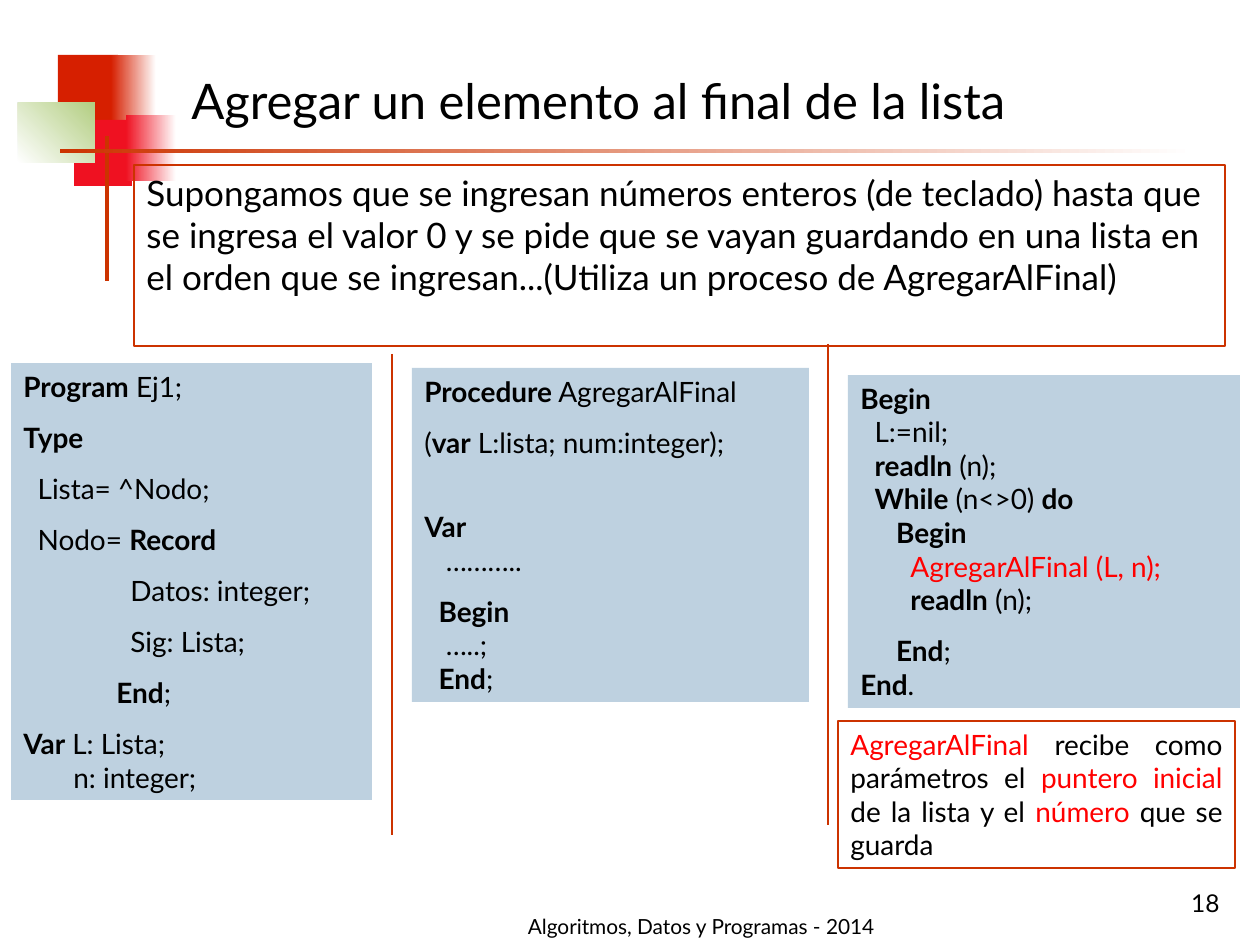
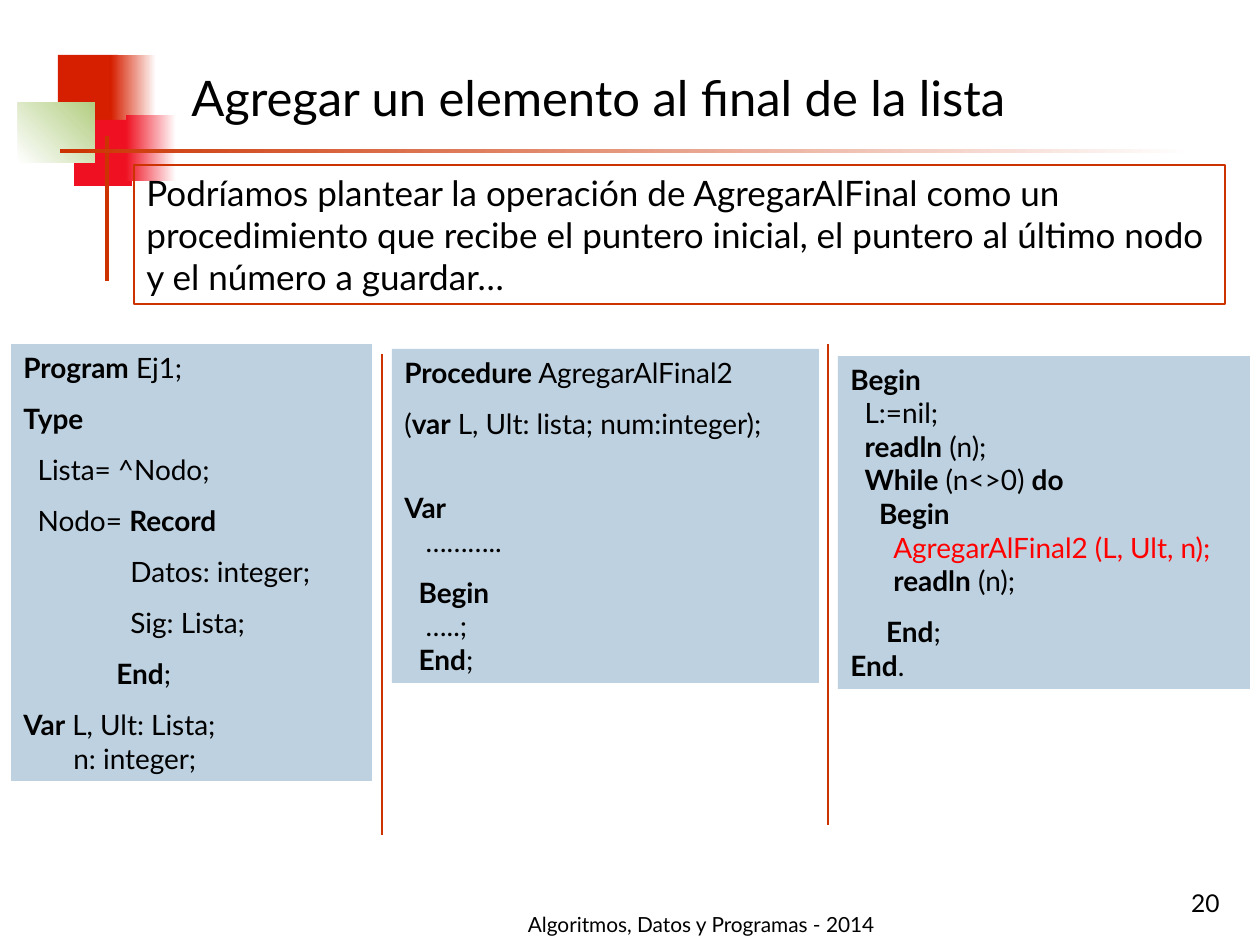
from lxml.etree import SubElement
from pptx import Presentation
from pptx.dml.color import RGBColor
from pptx.enum.shapes import MSO_CONNECTOR, MSO_SHAPE
from pptx.enum.text import MSO_ANCHOR, PP_ALIGN
from pptx.oxml.ns import qn
from pptx.util import Emu, Pt

WIDE, HIGH = 1260, 945
FONT = "Lato"
BLACK, WHITE, HOT = "000000", "FFFFFF", "FF0000"
RUST, RED, PINK, GREEN, BLUE = "CC3300", "D61F00", "EF1121", "B3CE82", "BED1E0"
TITLE = "Agregar un elemento al final de la lista"
FOOT = "Algoritmos, Datos y Programas - 2014"

DECO = [
    ((58, 55, 60, 66), RED, None, 0),
    ((111, 55, 45, 66), RED, WHITE, 0),
    ((74, 120, 58, 66), PINK, None, 0),
    ((126, 115, 50, 66), PINK, WHITE, 0),
    ((18, 103, 77, 60), WHITE, GREEN, 45),
    ((105, 136, 4, 145), RUST, None, 0),
    ((60, 149, 1134, 4), RUST, WHITE, 0),
]


def px(num):
    return Emu(num * 914400 // 126)


def color(text):
    return RGBColor.from_string(text)


def put(item, **vals):
    for name, val in vals.items():
        setattr(item, name, val)


def block(slide, box, fill=None, end=None, angle=0, edge=None):
    shape = slide.shapes.add_shape(MSO_SHAPE.RECTANGLE, *map(px, box))
    shape.shadow.inherit = False
    if end:
        shape.fill.gradient()
        shape.fill.gradient_angle = angle
        for stop, tone in zip(shape.fill.gradient_stops, (fill, end)):
            stop.color.rgb = color(tone)
    elif fill:
        shape.fill.solid()
        shape.fill.fore_color.rgb = color(fill)
    else:
        shape.fill.background()
    if edge:
        shape.line.width = Pt(edge)
        shape.line.color.rgb = color(RUST)
    else:
        shape.line.fill.background()
    return shape


def label(slide, box):
    return slide.shapes.add_textbox(*map(px, box))


def fill_line(para, text, size):
    for odd, part in enumerate(text.split("~")):
        for bold, bit in enumerate(part.split("*")):
            for row, line in enumerate(bit.split("\n")):
                if row:
                    para.add_line_break()
                if line:
                    run = para.add_run()
                    run.text = line
                    put(run.font, name=FONT, size=Pt(size), bold=bold % 2 == 1)
                    run.font.color.rgb = color(HOT if odd % 2 else BLACK)
    put(para.font, name=FONT, size=Pt(size))


def write(shape, paras, size, anchor=MSO_ANCHOR.TOP, align=PP_ALIGN.LEFT,
          gaps=None, pitch=None):
    frame = shape.text_frame
    put(frame, word_wrap=True, vertical_anchor=anchor)
    for num, text in enumerate(paras):
        para = frame.add_paragraph() if num else frame.paragraphs[0]
        gap = (gaps or {}).get(num, 10) if num else 0
        put(para, alignment=align, space_before=Pt(gap), line_spacing=pitch)
        fill_line(para, text, size)


def rule(slide, left, top, tall):
    line = slide.shapes.add_connector(
        MSO_CONNECTOR.STRAIGHT, px(left), px(top), px(left), px(top + tall))
    line.line.width = Pt(1)
    line.line.color.rgb = color(RUST)
    SubElement(line.element.spPr, qn("a:effectLst"))


def base(deck, page, title_y, foot_y):
    slide = deck.slides.add_slide(deck.slide_layouts[6])
    for box, *tones in DECO:
        block(slide, box, *tones)
    write(label(slide, (179, title_y, 1043, 141)), [TITLE], 28, MSO_ANCHOR.MIDDLE)
    write(label(slide, (501, foot_y, 400, 63)), [FOOT], 11.9,
          MSO_ANCHOR.BOTTOM, PP_ALIGN.CENTER, pitch=0.9)
    write(label(slide, (970, 861, 262, 63)), [page], 14,
          MSO_ANCHOR.BOTTOM, PP_ALIGN.RIGHT)
    return slide


def intro(slide, tall, text):
    write(block(slide, (134, 165, 1091, tall), edge=1), [text], 20)


def types(slide, box, names):
    write(block(slide, box, BLUE), [
        "*Program* Ej1;",
        "*Type*",
        "  Lista= ^Nodo;",
        "  Nodo= *Record*",
        "               Datos: integer;",
        "               Sig: Lista;",
        "             *End*;",
        f"*Var* {names}: Lista;\n       n: integer;",
    ], 16)


def proc(slide, box, name, args):
    write(block(slide, box, BLUE), [
        f"*Procedure* {name}",
        f"(*var* {args}; num:integer);",
        "*Var*\n   ………..",
        "  *Begin*\n   …..;\n  *End*;",
    ], 16, gaps={2: 29})


def main_code(slide, box, call, step):
    pad = " " * step
    write(block(slide, box, BLUE), [
        "*Begin*\n  L:=nil;\n  *readln* (n);\n  *While* (n<>0) *do*\n"
        f"{pad}*Begin*\n{pad}  ~{call};~\n{pad}  *readln* (n);",
        "     *End*;\n*End*.",
    ], 16)


def code(slide, top, spans, name, names, args, call, step):
    mid, last = spans
    types(slide, (11, top, 361, 437), names)
    main_code(slide, (last[0], top + 12, last[1], 333), f"{name} ({call})", step)
    proc(slide, (mid[0], top + 5, mid[1], 334), name, args)


def rules(slide, left):
    rule(slide, 828, 344, 481)
    rule(slide, left, 354, 481)


def note(slide, box):
    write(block(slide, box, edge=0.75), [
        "~AgregarAlFinal~ recibe como parámetros el ~puntero inicial~ "
        "de la lista y el ~número~ que se guarda"
    ], 16, align=PP_ALIGN.JUSTIFY)


def main():
    deck = Presentation()
    put(deck, slide_width=px(WIDE), slide_height=px(HIGH))

    slide = base(deck, "18", 29, 882)
    code(slide, 363, ((412, 397), (848, 392)),
         "AgregarAlFinal", "L", "L:lista", "L, n", 5)
    rules(slide, 392)
    note(slide, (838, 721, 397, 147))
    intro(slide, 181,
          "Supongamos que se ingresan números enteros (de teclado) hasta que "
          "se ingresa el valor 0 y se pide que se vayan guardando en una lista "
          "en el orden que se ingresan...(Utiliza un proceso de AgregarAlFinal)")

    slide = base(deck, "20", 26, 880)
    code(slide, 344, ((392, 427), (838, 412)),
         "AgregarAlFinal2", "L, Ult", "L, Ult: lista", "L, Ult, n", 4)
    rules(slide, 382)
    intro(slide, 139,
          "Podríamos plantear la operación de AgregarAlFinal como un "
          "procedimiento que recibe el puntero inicial, el puntero al último "
          "nodo y el número a guardar…")

    deck.save("out.pptx")


if __name__ == "__main__":
    main()
